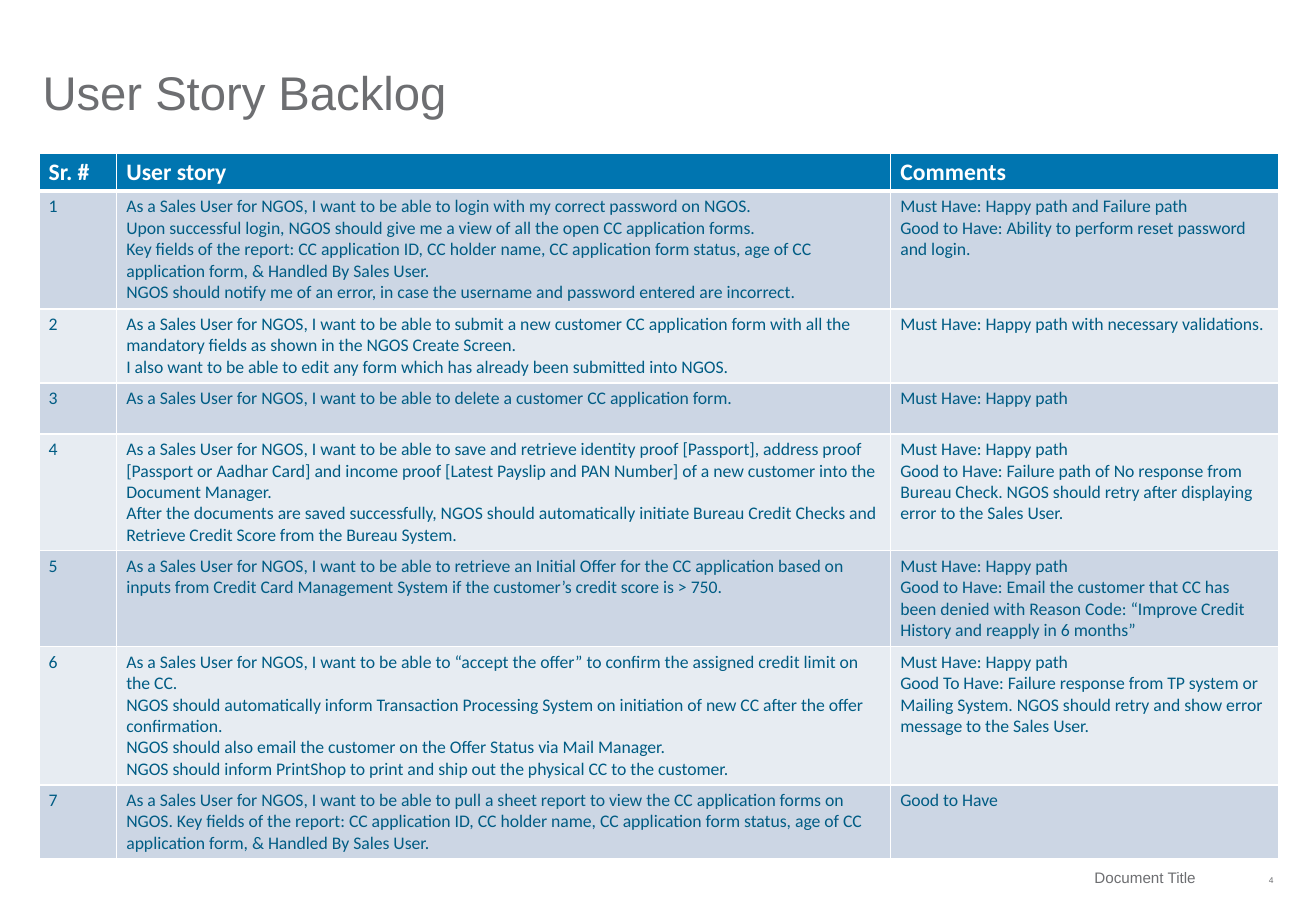
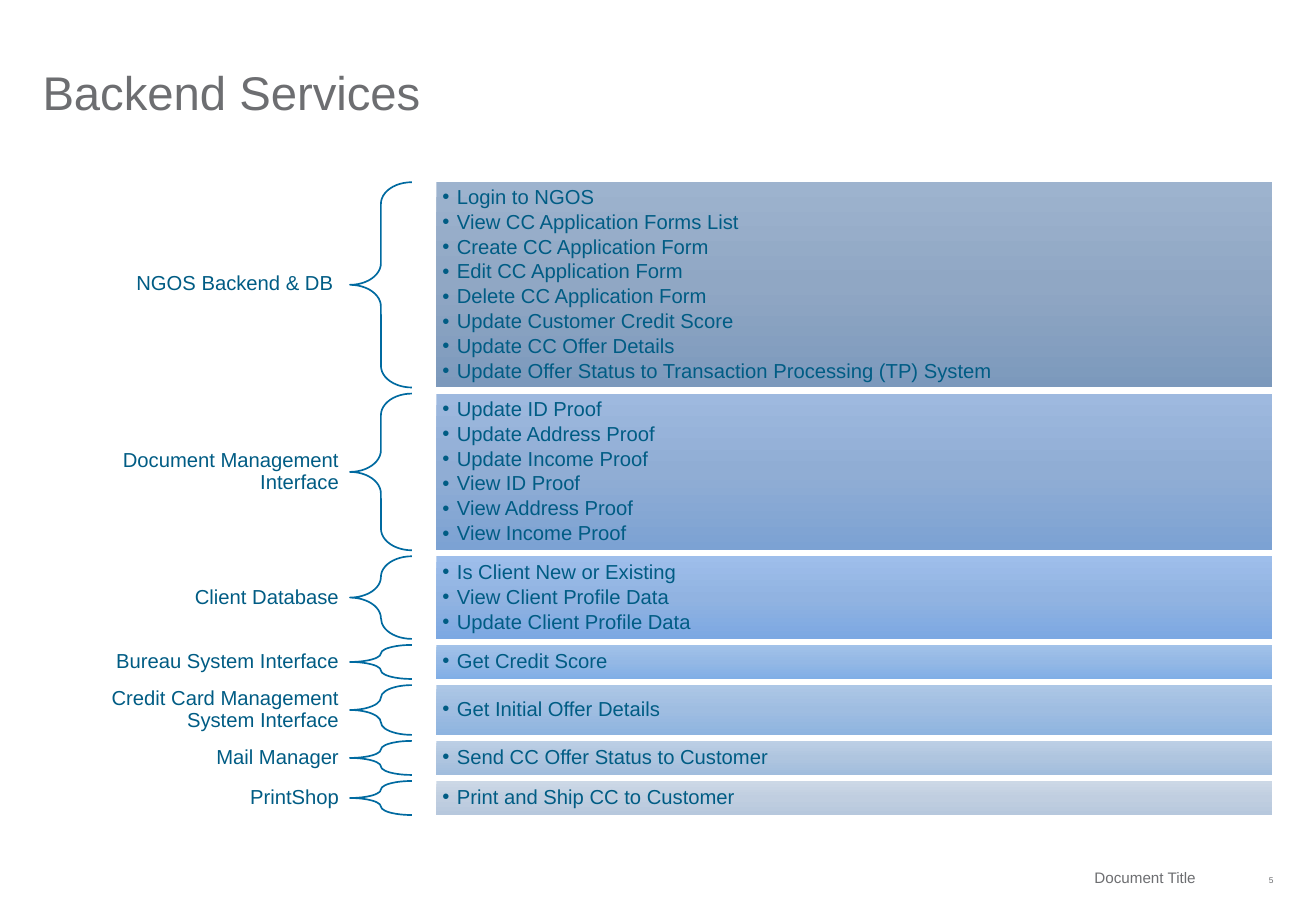
import copy

import lxml.etree
import pptx
import pptx.dml.color
import pptx.enum.shapes
import pptx.enum.text
import pptx.oxml.ns
import pptx.util

PX = 9144  # EMU: 100 px to the inch
GREY, INK, BLUE, WHITE = "6D6E71", "005C84", "0075B0", "FFFFFF"
BANDS = ["E7ECF2", "CCD6E4"]
ALIGN = pptx.enum.text.PP_ALIGN
ANCHOR = pptx.enum.text.MSO_ANCHOR
SHAPE = pptx.enum.shapes.MSO_SHAPE

COLS = [64, 637, 319]
ROWS = [31, 97, 61, 42, 96, 79, 114, 61]
HEADS = ["Sr. #", "User story", "Comments"]
WANT = "As a Sales User for NGOS, I want to be able to "
FIELDS = ("Key fields of the report: CC application ID, CC holder name, CC application "
          "form status, age of CC application form, & Handled By Sales User.")
HAPPY = "Must Have: Happy path"
STORIES = [
    ("login with my correct password on NGOS.\n"
     "Upon successful login, NGOS should give me a view of all the open CC application forms.\n"
     + FIELDS + "\n"
     "NGOS should notify me of an error, in case the username and password entered are incorrect.",
     HAPPY + " and Failure path\n"
     "Good to Have: Ability to perform reset password and login."),
    ("submit a new customer CC application form with all the mandatory fields as shown "
     "in the NGOS Create Screen.\n"
     "I also want to be able to edit any form which has already been submitted into NGOS.",
     HAPPY + " with necessary validations."),
    ("delete a customer CC application form.", HAPPY),
    ("save and retrieve identity proof [Passport], address proof [Passport or Aadhar Card] "
     "and income proof [Latest Payslip and PAN Number] of a new customer into the "
     "Document Manager.\n"
     "After the documents are saved successfully, NGOS should automatically initiate Bureau "
     "Credit Checks and Retrieve Credit Score from the Bureau System.",
     HAPPY + "\nGood to Have: Failure path of No response from Bureau Check. "
     "NGOS should retry after displaying error to the Sales User."),
    ("retrieve an Initial Offer for the CC application based on inputs from Credit Card "
     "Management System if the customer’s credit score is > 750.",
     HAPPY + "\nGood to Have: Email the customer that CC has been denied with "
     "Reason Code: “Improve Credit History and reapply in 6 months”"),
    ("“accept the offer” to confirm the assigned credit limit on the CC.\n"
     "NGOS should automatically inform Transaction Processing System on initiation of new "
     "CC after the offer confirmation.\n"
     "NGOS should also email the customer on the Offer Status via Mail Manager.\n"
     "NGOS should inform PrintShop to print and ship out the physical CC to the customer.",
     HAPPY + "\nGood To Have: Failure response from TP system or Mailing System. "
     "NGOS should retry and show error message to the Sales User."),
    ("pull a sheet report to view the CC application forms on NGOS. " + FIELDS,
     "Good to Have"),
]

# label, label height, panel height, gradient, services
GROUPS = [
    ("NGOS Backend & DB ", 26, 169, ["9DB3CE", "90A7C4", "7C99BC"],
     ["Login to NGOS", "View CC Application Forms List", "Create CC Application Form",
      "Edit CC Application Form", "Delete CC Application Form",
      "Update Customer Credit Score", "Update CC Offer Details",
      "Update Offer Status to Transaction Processing (TP) System"]),
    ("Document Management Interface", 41, 129, ["9EB9DF", "90ADD4", "7CA2D3"],
     ["Update ID Proof", "Update Address Proof", "Update Income Proof",
      "View ID Proof", "View Address Proof", "View Income Proof"]),
    ("Client Database", 26, 68, ["9EBEEB", "91B3E1", "7CA8E2"],
     ["Is Client New or Existing", "View Client Profile Data", "Update Client Profile Data"]),
    ("Bureau System Interface", 26, 28, ["A2C2E9", "94B8E5", "80AEE6"], ["Get Credit Score"]),
    ("Credit Card Management System Interface", 41, 41, ["ADC7E6", "9FBDE1", "8EB4E0"],
     ["Get Initial Offer Details"]),
    ("Mail Manager", 26, 28, ["BCCFE5", "AFC5DF", "A1BDDD"],
     ["Send CC Offer Status to Customer"]),
    ("PrintShop", 26, 28, ["CCD8E6", "C0CEE0", "B7C8DD"], ["Print and Ship CC to Customer"]),
]
GAP = 5


def rgb(code):
    return pptx.dml.color.RGBColor.from_string(code)


def box(*nums):
    return [num * PX for num in nums]


def write(frame, text, size, color, font="Arial", bold=False, align=ALIGN.LEFT,
          anchor=ANCHOR.MIDDLE, inset=(0, 0, 0, 0), lead=None, after=None):
    """Fill a text frame and format every paragraph; inset is left, top, right, bottom."""
    frame.text = text
    frame.word_wrap = True
    frame.vertical_anchor = anchor
    (frame.margin_left, frame.margin_top,
     frame.margin_right, frame.margin_bottom) = box(*inset)
    for para in frame.paragraphs:
        para.alignment = align
        para.line_spacing = lead
        para.space_after = after
        for run in para.runs:
            run.font.size = pptx.util.Pt(size)
            run.font.name = font
            run.font.bold = bold
            run.font.color.rgb = rgb(color)


def label(slide, place, text, size, color, **style):
    shape = slide.shapes.add_textbox(*box(*place))
    write(shape.text_frame, text, size, color, align=ALIGN.RIGHT, **style)


def bullet(para):
    props = para._p.get_or_add_pPr()
    props.set("marL", str(12 * PX))
    props.set("indent", str(-12 * PX))
    for tag, key, value in (("a:buFont", "typeface", "Arial"), ("a:buChar", "char", "•")):
        lxml.etree.SubElement(props, pptx.oxml.ns.qn(tag)).set(key, value)


def border(cell, side, width):
    line = lxml.etree.SubElement(cell._tc.get_or_add_tcPr(), pptx.oxml.ns.qn("a:ln" + side))
    line.set("w", str(pptx.util.Pt(width)))
    fill = lxml.etree.SubElement(line, pptx.oxml.ns.qn("a:solidFill"))
    lxml.etree.SubElement(fill, pptx.oxml.ns.qn("a:srgbClr")).set("val", WHITE)


def panel(slide, place, colors, items):
    shape = slide.shapes.add_shape(SHAPE.RECTANGLE, *box(*place))
    shape.shadow.inherit = False
    shape.line.fill.background()
    shape.fill.gradient()
    shape.fill.gradient_angle = 270
    stops = shape._element.spPr.find(".//" + pptx.oxml.ns.qn("a:gsLst"))
    stops.insert(1, copy.deepcopy(stops[0]))
    for i, (stop, color) in enumerate(zip(shape.fill.gradient_stops, colors)):
        stop.position = i / 2
        stop.color.rgb = rgb(color)
    write(shape.text_frame, "\n".join(items), 12, INK, inset=(5, 5, 5, 5), lead=0.9,
          after=pptx.util.Pt(1.8))
    for para in shape.text_frame.paragraphs:
        bullet(para)


def brace(slide, place):
    shape = slide.shapes.add_shape(SHAPE.LEFT_BRACE, *box(*place))
    shape.shadow.inherit = False
    shape.fill.background()
    shape.line.color.rgb = rgb("006AA0")
    shape.line.width = pptx.util.Pt(1)
    shape.adjustments[0] = 0.35
    shape.adjustments[1] = 0.5


def page(deck, layout, title, number):
    """Add a slide with the shared title, footer and page number."""
    slide = deck.slides.add_slide(layout)
    write(slide.shapes.title.text_frame, title, 28, GREY, anchor=ANCHOR.BOTTOM, lead=0.9)
    label(slide, (619, 708, 380, 28), "Document Title", 9, GREY, inset=(0, 0, 15, 0))
    label(slide, (1009, 708, 39, 33), str(number), 5, GREY)
    return slide


def backlog(slide):
    rows = [HEADS] + [(str(i), WANT + story, note)
                      for i, (story, note) in enumerate(STORIES, 1)]
    place = box(32, 126, sum(COLS), sum(ROWS))
    table = slide.shapes.add_table(len(ROWS), len(COLS), *place).table
    for col, width in zip(table.columns, COLS):
        col.width = width * PX
    for r, (texts, height) in enumerate(zip(rows, ROWS)):
        table.rows[r].height = height * PX
        head = r == 0
        for cell, text in zip(table.rows[r].cells, texts):
            write(cell.text_frame, text, 14 if head else 10.5, WHITE if head else INK,
                  font="Calibri", bold=head, anchor=ANCHOR.TOP)
            (cell.margin_left, cell.margin_top,
             cell.margin_right, cell.margin_bottom) = box(8, 4, 8, 4)
            for side in "LRTB":
                thick = (head and side == "B") or (r == 1 and side == "T")
                border(cell, side, 3 if thick else 1)
            cell.fill.solid()
            cell.fill.fore_color.rgb = rgb(BLUE if head else BANDS[r % 2])


def services(slide):
    top = 150
    for name, tall, height, colors, items in GROUPS:
        label(slide, (35, top + (height - tall) // 2, 253, tall), name, 12, INK,
              inset=(9, 3, 9, 3), lead=0.9)
        brace(slide, (288, top, 51, height))
        panel(slide, (359, top, 688, height), colors, items)
        top += height + GAP


def main():
    deck = pptx.Presentation()
    deck.slide_width, deck.slide_height = box(1083, 750)
    layout = deck.slide_layouts.get_by_name("Title Only")
    title = layout.placeholders[0]
    title.left, title.top, title.width, title.height = box(35, 22, 1013, 77)
    backlog(page(deck, layout, "User Story Backlog", 4))
    services(page(deck, layout, "Backend Services", 5))
    deck.save("out.pptx")


if __name__ == "__main__":
    main()
